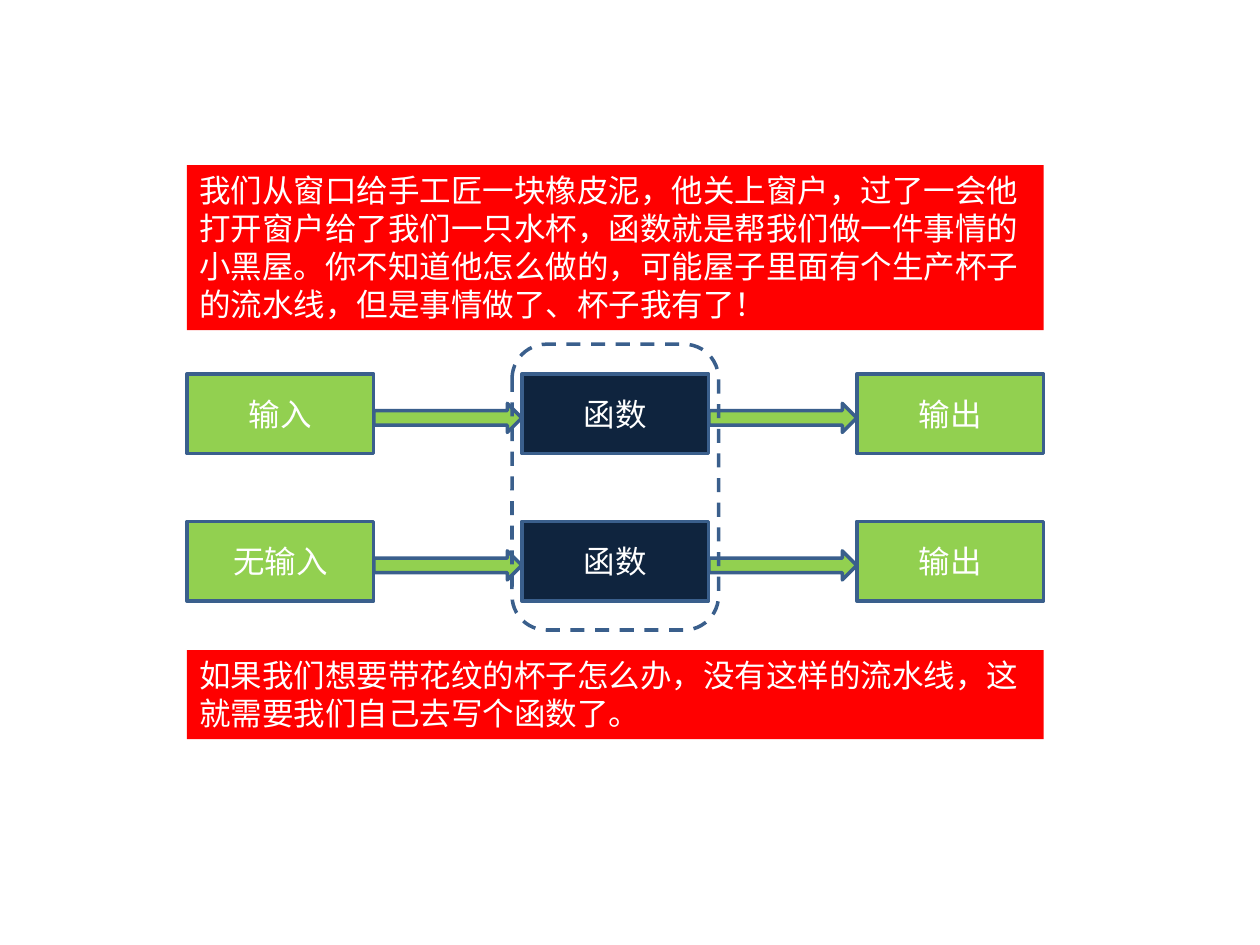
from dataclasses import dataclass
from typing import Any

from pptx import Presentation
from pptx.dml.color import RGBColor
from pptx.enum.dml import MSO_LINE
from pptx.enum.shapes import MSO_SHAPE
from pptx.enum.text import MSO_ANCHOR, MSO_AUTO_SIZE, PP_ALIGN
from pptx.util import Pt

RECT, ROUND, ARROW = MSO_SHAPE.RECTANGLE, MSO_SHAPE.ROUNDED_RECTANGLE, MSO_SHAPE.RIGHT_ARROW
DASH = MSO_LINE.DASH
TOP, MIDDLE = MSO_ANCHOR.TOP, MSO_ANCHOR.MIDDLE
LEFT, CENTER = PP_ALIGN.LEFT, PP_ALIGN.CENTER
GROW, FIXED = MSO_AUTO_SIZE.SHAPE_TO_FIT_TEXT, MSO_AUTO_SIZE.NONE


@dataclass(frozen=True)
class Theme:
    font: str = "Calibri"
    white: str = "FFFFFF"
    red: str = "FF0000"
    green: str = "92D050"
    navy: str = "0F243E"
    edge: str = "3A5F8C"
    body: int = 18
    line: int = 2


@dataclass(frozen=True)
class Area:
    x: float
    y: float
    w: float
    h: float


@dataclass(frozen=True)
class Flow:
    top: float
    labels: tuple[str, str, str]


@dataclass(frozen=True)
class Note:
    top: float
    height: float
    text: str


THEME = Theme()
START, SPAN = 106.8, 489.6
BOX_W, BOX_H = 106.8, 45.4
STEP = (SPAN - BOX_W) / 2
ARROW_H, ARROW_DROP = 16.6, 16.8
FRAME_W = 118

FLOWS = (
    Flow(213.7, ("输入", "函数", "输出")),
    Flow(298, ("无输入", "函数", "输出")),
)
NOTES = (
    Note(94.3, 94.3, "我们从窗口给手工匠一块橡皮泥，他关上窗户，过了一会他打开窗户给了我们一只水杯，"
         "函数就是帮我们做一件事情的小黑屋。你不知道他怎么做的，可能屋子里面有个生产杯子的流水线，"
         "但是事情做了、杯子我有了！"),
    Note(371.5, 50.9, "如果我们想要带花纹的杯子怎么办，没有这样的流水线，这就需要我们自己去写个函数了。"),
)


def apply(target: Any, values: dict[str, Any]) -> None:
    for name, value in values.items():
        setattr(target, name, value)


def write(shape: Any, text: str, align: Any = CENTER,
          anchor: Any = MIDDLE, fit: Any = FIXED) -> None:
    frame = shape.text_frame
    frame.text = text
    apply(frame, {"word_wrap": True, "vertical_anchor": anchor, "auto_size": fit})
    para = frame.paragraphs[0]
    para.alignment = align
    font = para.runs[0].font
    apply(font, {"name": THEME.font, "size": Pt(THEME.body)})
    font.color.rgb = RGBColor.from_string(THEME.white)


def draw(slide: Any, kind: Any, area: Area, fill: str | None, edge: bool = True) -> Any:
    shape = slide.shapes.add_shape(kind, Pt(area.x), Pt(area.y), Pt(area.w), Pt(area.h))
    shape.shadow.inherit = False
    if fill:
        shape.fill.solid()
        shape.fill.fore_color.rgb = RGBColor.from_string(fill)
    else:
        shape.fill.background()
    if edge:
        shape.line.color.rgb = RGBColor.from_string(THEME.edge)
        shape.line.width = Pt(THEME.line)
    else:
        shape.line.fill.background()
    return shape


def draw_flow(slide: Any, flow: Flow) -> None:
    fills = (THEME.green, THEME.navy, THEME.green)
    for col, (label, fill) in enumerate(zip(flow.labels, fills)):
        x = START + col * STEP
        box = draw(slide, RECT, Area(x, flow.top, BOX_W, BOX_H), fill)
        write(box, label)
        if col:
            gap = STEP - BOX_W
            draw(slide, ARROW, Area(x - gap, flow.top + ARROW_DROP, gap, ARROW_H), THEME.green)


def draw_note(slide: Any, note: Note) -> None:
    box = draw(slide, RECT, Area(START, note.top, SPAN, note.height), THEME.red, edge=False)
    write(box, note.text, LEFT, TOP, GROW)


def main() -> None:
    deck = Presentation()
    apply(deck, {"slide_width": Pt(720), "slide_height": Pt(540)})
    slide = deck.slides.add_slide(deck.slide_layouts[6])
    for flow in FLOWS:
        draw_flow(slide, flow)
    frame = draw(slide, ROUND, Area(START + (SPAN - FRAME_W) / 2, 196.7, FRAME_W, 163.3), None)
    frame.line.dash_style = DASH
    for note in NOTES:
        draw_note(slide, note)
    deck.save("out.pptx")


if __name__ == "__main__":
    main()
